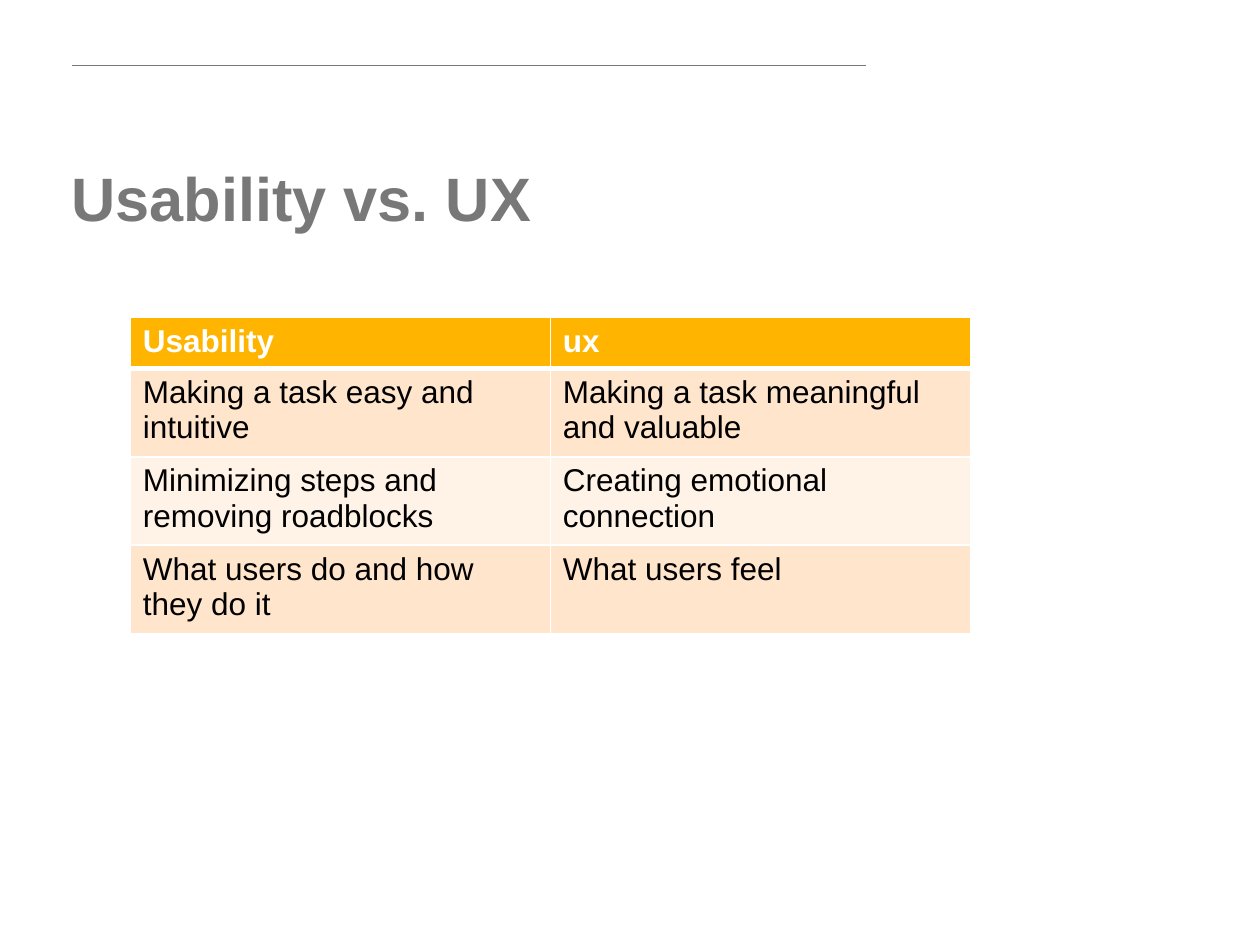
from lxml.etree import SubElement
from pptx import Presentation
from pptx.dml.color import RGBColor
from pptx.enum.shapes import MSO_CONNECTOR
from pptx.enum.text import MSO_ANCHOR
from pptx.oxml.ns import qn
from pptx.util import Pt

GRAY = RGBColor(0x78, 0x78, 0x78)
WHITE = RGBColor(0xFF, 0xFF, 0xFF)
BLACK = RGBColor(0x00, 0x00, 0x00)
AMBER = RGBColor(0xFF, 0xB5, 0x00)
PEACH = RGBColor(0xFF, 0xE5, 0xCC)
CREAM = RGBColor(0xFF, 0xF3, 0xE7)

COMPARISON = [
    ("Usability", "ux"),
    ("Making a task easy and intuitive", "Making a task meaningful and valuable"),
    ("Minimizing steps and removing roadblocks", "Creating emotional connection"),
    ("What users do and how they do it", "What users feel"),
]


def add_run(paragraph, text, size, color, bold):
    run = paragraph.add_run()
    run.text = text
    run.font.name = "Arial"
    run.font.size = Pt(size)
    run.font.bold = bold
    run.font.color.rgb = color


def add_border(cell, side, width):
    border = SubElement(cell._tc.get_or_add_tcPr(), qn(f"a:{side}"), w=str(Pt(width)))
    fill = SubElement(border, qn("a:solidFill"))
    SubElement(fill, qn("a:srgbClr"), val=str(WHITE))


prs = Presentation()
prs.slide_width, prs.slide_height = Pt(720), Pt(540)
slide = prs.slides.add_slide(prs.slide_layouts[6])

top_rule = slide.shapes.add_connector(
    MSO_CONNECTOR.STRAIGHT, Pt(41), Pt(37.4), Pt(494.6), Pt(37.4))
top_rule.line.color.rgb = GRAY
top_rule.line.width = Pt(0.75)
SubElement(top_rule._element.spPr, qn("a:effectLst"))

title = slide.shapes.add_textbox(Pt(33.8), Pt(92.9), Pt(520.6), Pt(59.8)).text_frame
title.word_wrap = True
title.vertical_anchor = MSO_ANCHOR.TOP
title.paragraphs[0].line_spacing = 0.9
add_run(title.paragraphs[0], "Usability vs. UX", 35, GRAY, True)

comparison = slide.shapes.add_table(
    len(COMPARISON), 2, Pt(74.5), Pt(181.5), Pt(480), Pt(171.7)).table

for row, texts in enumerate(COMPARISON):
    header = row == 0
    comparison.rows[row].height = Pt(29.2 if header else 47.5)
    for column, text in enumerate(texts):
        cell = comparison.cell(row, column)
        add_run(cell.text_frame.paragraphs[0], text, 18, WHITE if header else BLACK, header)
        for side in ("lnL", "lnR", "lnT", "lnB"):
            thick = (row, side) in ((0, "lnB"), (1, "lnT"))
            add_border(cell, side, 3 if thick else 1)
        cell.fill.solid()
        cell.fill.fore_color.rgb = AMBER if header else PEACH if row % 2 else CREAM

prs.save("out.pptx")
